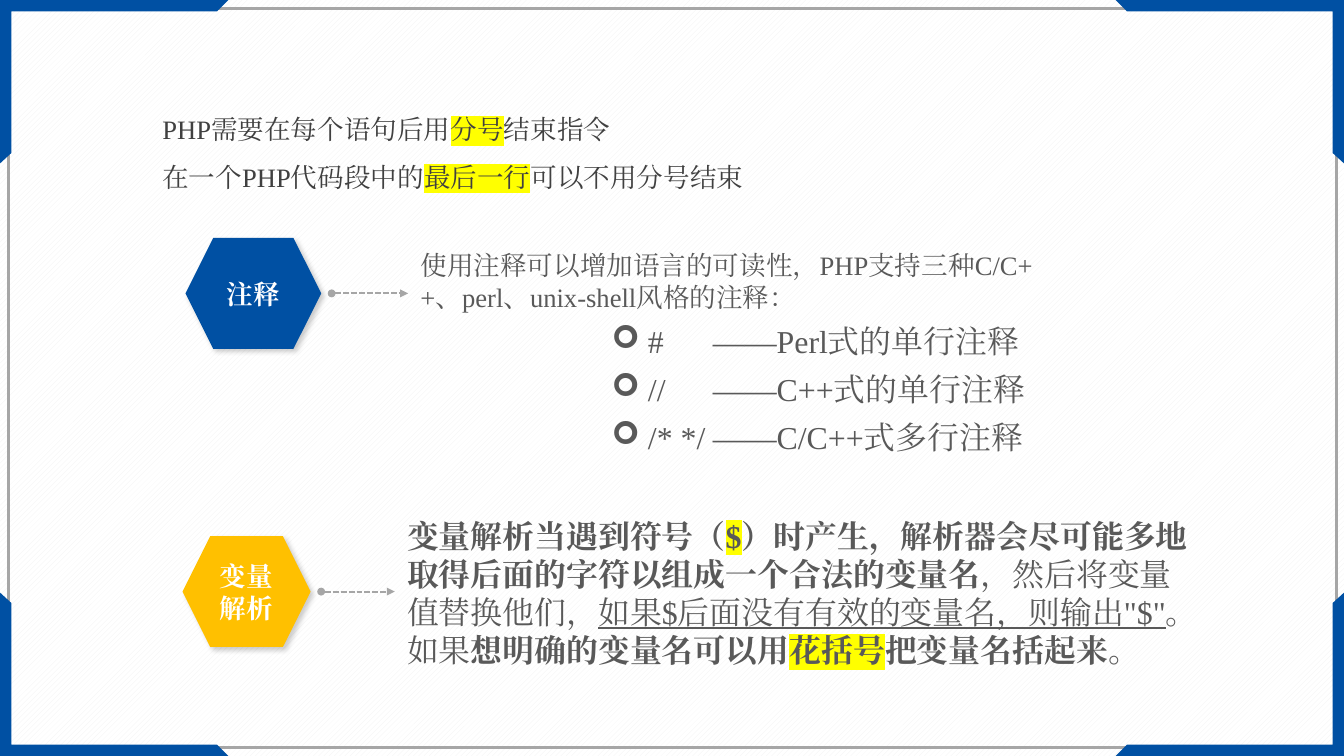
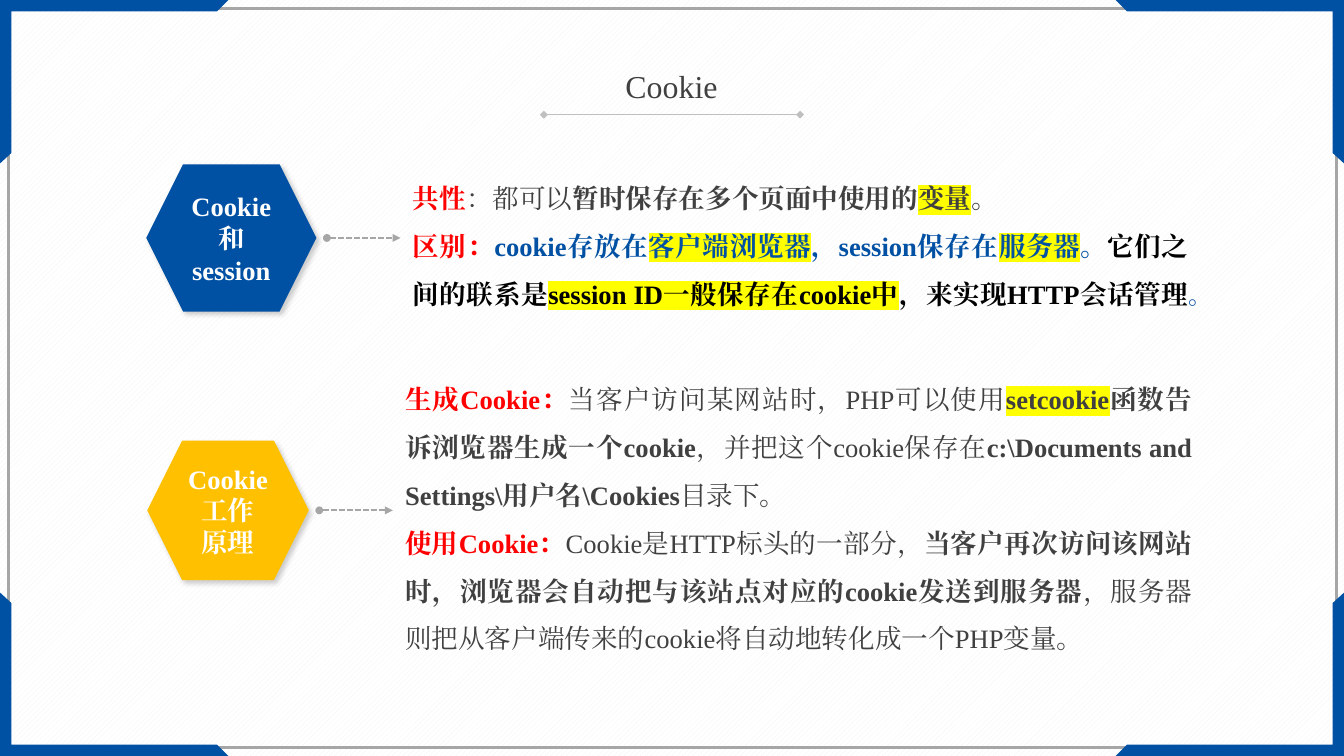
from dataclasses import dataclass, field

from lxml.etree import SubElement
from pptx import Presentation
from pptx.dml.color import RGBColor
from pptx.enum.dml import MSO_LINE, MSO_PATTERN
from pptx.enum.shapes import MSO_CONNECTOR, MSO_SHAPE
from pptx.enum.text import MSO_ANCHOR, MSO_AUTO_SIZE, PP_ALIGN
from pptx.oxml.ns import qn
from pptx.slide import Slide, SlideLayout
from pptx.util import Inches, Pt

HATCH = MSO_PATTERN.WIDE_UPWARD_DIAGONAL
DASH = MSO_LINE.SQUARE_DOT
LINE = MSO_CONNECTOR.STRAIGHT
RECT, HEX = MSO_SHAPE.RECTANGLE, MSO_SHAPE.HEXAGON
MID = MSO_ANCHOR.MIDDLE
GROW = MSO_AUTO_SIZE.SHAPE_TO_FIT_TEXT
MIDDLE, JUST = PP_ALIGN.CENTER, PP_ALIGN.JUSTIFY

WIDE, HIGH = 14.06, 7.91
FONT = "Times New Roman"
HEXES = {
    "blue": "0050A3", "gold": "FFC000", "red": "FF0000", "black": "000000",
    "dark": "404040", "gray": "595959", "edge": "A6A6A6", "rule": "BFBFBF",
    "hatch": "F2F2F2", "white": "FFFFFF", "mark": "FFFF00",
}
CORNER = [(0, 0), (2.39, 0), (2.27, 0.12), (0.12, 0.12), (0.12, 1.6), (0, 1.71)]
BODY = {"word_wrap": True, "auto_size": GROW}
CENTRED = BODY | {"vertical_anchor": MID}
LISTED = CENTRED | {"margin_bottom": Inches(0.25)}
TITLE = {"word_wrap": False, "auto_size": GROW}
LABEL = {"word_wrap": True, "vertical_anchor": MID}
LOOSE = {"alignment": JUST, "line_spacing": 1.5}
ITEM = {"level": 4, "line_spacing": 1.25}


@dataclass
class Run:
    text: str
    hue: str = "dark"
    bold: bool = False
    mark: bool = False
    under: bool = False
    size: int = 20


@dataclass
class Para:
    runs: list[Run]
    form: dict = field(default_factory=dict)
    listed: bool = False


@dataclass
class Box:
    left: float
    top: float
    width: float
    height: float

    def place(self) -> tuple:
        return tuple(map(Inches, (self.left, self.top, self.width, self.height)))


@dataclass
class Step:
    fill: str
    hex: Box
    label: list[str]
    box: Box
    paras: list[Para]
    form: dict


def shade(name: str) -> RGBColor:
    return RGBColor.from_string(HEXES[name])


def apply(thing, form: dict) -> None:
    for key, value in form.items():
        setattr(thing, key, value)


def tint(parent, name: str):
    return SubElement(parent, qn("a:srgbClr"), val=HEXES[name])


def add_run(para, run: Run) -> None:
    piece = para.add_run()
    piece.text = run.text
    apply(piece.font, {"name": FONT, "size": Pt(run.size), "bold": run.bold,
                       "underline": run.under})
    piece.font.color.rgb = shade(run.hue)
    props = piece.font.color and piece.text and piece.font
    node = para.runs[-1].font.fill and para.runs[-1]
    del props, node
    style = para.runs[-1]._r.get_or_add_rPr()
    latin = style.find(qn("a:latin"))
    if run.mark:
        mark = SubElement(style, qn("a:highlight"))
        tint(mark, "mark")
        latin.addprevious(mark)
    east = SubElement(style, qn("a:ea"), typeface=FONT)
    latin.addnext(east)


def add_mark(para) -> None:
    props = para._p.get_or_add_pPr()
    props.set("marL", str(Inches(2.38)))
    props.set("indent", str(Inches(-0.38)))
    SubElement(props, qn("a:buFont"), typeface="Wingdings")
    SubElement(props, qn("a:buChar"), char="➢")
    stops = SubElement(props, qn("a:tabLst"))
    for stop in (0.68, 3.06):
        SubElement(stops, qn("a:tab"), pos=str(Inches(stop)), algn="l")


def write(frame, paras: list[Para], form: dict) -> None:
    apply(frame, form)
    for spot, item in enumerate(paras):
        para = frame.add_paragraph() if spot else frame.paragraphs[0]
        apply(para, item.form)
        if item.listed:
            add_mark(para)
        for run in item.runs:
            add_run(para, run)


def add_text(slide: Slide, box: Box, paras: list[Para], form: dict) -> None:
    write(slide.shapes.add_textbox(*box.place()).text_frame, paras, form)


def add_line(slide: Slide, start: float, end: float, top: float, hue: str,
             width: float, heads: tuple[str, str], dash=None) -> None:
    line = slide.shapes.add_connector(
        LINE, Inches(start), Inches(top), Inches(end), Inches(top))
    line.line.color.rgb = shade(hue)
    apply(line.line, {"width": Pt(width), "dash_style": dash})
    props = line.element.spPr
    for tag, kind in zip(("a:headEnd", "a:tailEnd"), heads):
        SubElement(props.find(qn("a:ln")), qn(tag), type=kind)
    SubElement(props, qn("a:effectLst"))


def add_hex(slide: Slide, step: Step) -> None:
    shape = slide.shapes.add_shape(HEX, *step.hex.place())
    shape.fill.solid()
    shape.fill.fore_color.rgb = shade(step.fill)
    shape.line.fill.background()
    shape.shadow.inherit = False
    cast = SubElement(
        shape.element.spPr.find(qn("a:effectLst")), qn("a:outerShdw"),
        blurRad=str(Pt(4)), dist=str(Pt(3)), dir="2700000", algn="tl",
        rotWithShape="0")
    SubElement(tint(cast, "black"), qn("a:alpha"), val="20000")
    paras = [Para([Run(text, "white", True)], {"alignment": MIDDLE})
             for text in step.label]
    write(shape.text_frame, paras, LABEL)


def add_step(slide: Slide, step: Step) -> None:
    spot = step.hex
    add_hex(slide, step)
    add_text(slide, step.box, step.paras, step.form)
    add_line(slide, spot.left + spot.width + 0.11, step.box.left - 0.03,
             spot.top + spot.height / 2, "edge", 1.5, ("oval", "triangle"), DASH)


def add_frame(slide: Slide, layout: SlideLayout) -> None:
    for holder in list(layout.placeholders):
        holder.element.getparent().remove(holder.element)
    back = layout.background.fill
    back.patterned()
    back.pattern = HATCH
    back.fore_color.rgb = shade("hatch")
    back.back_color.rgb = shade("white")
    edge = slide.shapes.add_shape(RECT, *Box(0.09, 0.09, 13.89, 7.73).place())
    edge.fill.background()
    edge.line.color.rgb = shade("edge")
    edge.line.width = Pt(2)
    parts = [edge]
    for right in (False, True):
        for low in (False, True):
            dots = [(Inches(WIDE - x if right else x),
                     Inches(HIGH - y if low else y)) for x, y in CORNER]
            path = slide.shapes.build_freeform(*dots[0])
            path.add_line_segments(dots[1:])
            corner = path.convert_to_shape()
            corner.fill.solid()
            corner.fill.fore_color.rgb = shade("blue")
            corner.line.fill.background()
            parts.append(corner)
    for part in parts:
        part.shadow.inherit = False
        layout.shapes.element.append(part.element)


NOTES = [
    Para([Run("使用注释可以增加语言的可读性，PHP支持三种C/C++、perl、unix-shell风格的注释：", "gray")]),
    *(Para([Run(text, "gray", size=24)], ITEM, True) for text in (
        "#\t——Perl式的单行注释", "//\t——C++式的单行注释", "/* */\t——C/C++式多行注释")),
]
PARSE = [Para([
    Run("变量解析当遇到符号（", "gray", True, size=24),
    Run("$", "gray", True, True, size=24),
    Run("）时产生，解析器会尽可能多地取得后面的字符以组成一个合法的变量名", "gray", True, size=24),
    Run("，然后将变量值替换他们，", "gray", size=24),
    Run("如果$后面没有有效的变量名，则输出\"$\"", "gray", under=True, size=24),
    Run("。如果", "gray", size=24),
    Run("想明确的变量名可以用", "gray", True, size=24),
    Run("花括号", "gray", True, True, size=24),
    Run("把变量名括起来", "gray", True, size=24),
    Run("。", "gray", size=24),
])]
INTRO = [
    Para([Run("PHP需要在每个语句后用"), Run("分号", mark=True), Run("结束指令")], LOOSE),
    Para([Run("在一个PHP代码段中的"), Run("最后一行", mark=True),
          Run("可以不用分号结束")], LOOSE),
]
STORE = [
    Para([
        Run("共性", "red", True),
        Run("：都可以"),
        Run("暂时保存在多个页面中使用的", bold=True),
        Run("变量", bold=True, mark=True),
        Run("。"),
    ], LOOSE),
    Para([
        Run("区别：", "red", True),
        Run("cookie存放在", "blue", True),
        Run("客户端浏览器", "blue", True, True),
        Run("，session保存在", "blue", True),
        Run("服务器", "blue", True, True),
        Run("。", "blue", True),
        Run("它们之间的联系是", "black", True),
        Run("session ID一般保存在cookie中", "black", True, True),
        Run("，来实现HTTP会话管理", "black", True),
        Run("。", "blue", size=18),
    ], LOOSE),
]
WORK = [
    Para([
        Run("生成Cookie：", "red", True),
        Run("当客户访问某网站时，PHP可以使用"),
        Run("setcookie", bold=True, mark=True),
        Run("函数告诉浏览器生成一个cookie", bold=True),
        Run("，并把这个cookie保存在"),
        Run("c:\\Documents and Settings\\用户名\\Cookies", bold=True),
        Run("目录下。"),
    ], LOOSE),
    Para([
        Run("使用Cookie：", "red", True),
        Run("Cookie是HTTP标头的一部分，"),
        Run("当客户再次访问该网站时，浏览器会自动把与该站点对应的cookie发送到服务器", bold=True),
        Run("，服务器则把从客户端传来的cookie将自动地转化成一个PHP变量。"),
    ], LOOSE),
]
SYNTAX = [
    Step("blue", Box(1.94, 2.49, 1.42, 1.16), ["注释"],
         Box(4.3, 2.54, 7.02, 2.49), NOTES, LISTED),
    Step("gold", Box(1.91, 5.61, 1.34, 1.16), ["变量解析"],
         Box(4.16, 5.34, 8.49, 1.72), PARSE, CENTRED),
]
COOKIE = [
    Step("blue", Box(1.53, 1.72, 1.78, 1.54), ["Cookie和session"],
         Box(4.22, 1.68, 8.31, 1.62), STORE, CENTRED),
    Step("gold", Box(1.54, 4.61, 1.69, 1.46), ["Cookie工作", "原理"],
         Box(4.14, 3.78, 8.43, 3.13), WORK, CENTRED),
]


def main() -> None:
    deck = Presentation()
    apply(deck, {"slide_width": Inches(WIDE), "slide_height": Inches(HIGH)})
    blank = deck.slide_layouts[6]
    first, second = (deck.slides.add_slide(blank) for _ in range(2))
    add_frame(first, blank)
    for slide, steps in ((first, SYNTAX), (second, COOKIE)):
        for step in steps:
            add_step(slide, step)
    add_text(first, Box(1.6, 0.97, 11.05, 1.05), INTRO, BODY)
    add_line(second, 5.69, 8.37, 1.2, "rule", 0.5, ("diamond", "diamond"))
    add_text(second, Box(6.44, 0.65, 1.17, 0.5),
             [Para([Run("Cookie", size=24)], {"alignment": MIDDLE})], TITLE)
    deck.save("out.pptx")


if __name__ == "__main__":
    main()
